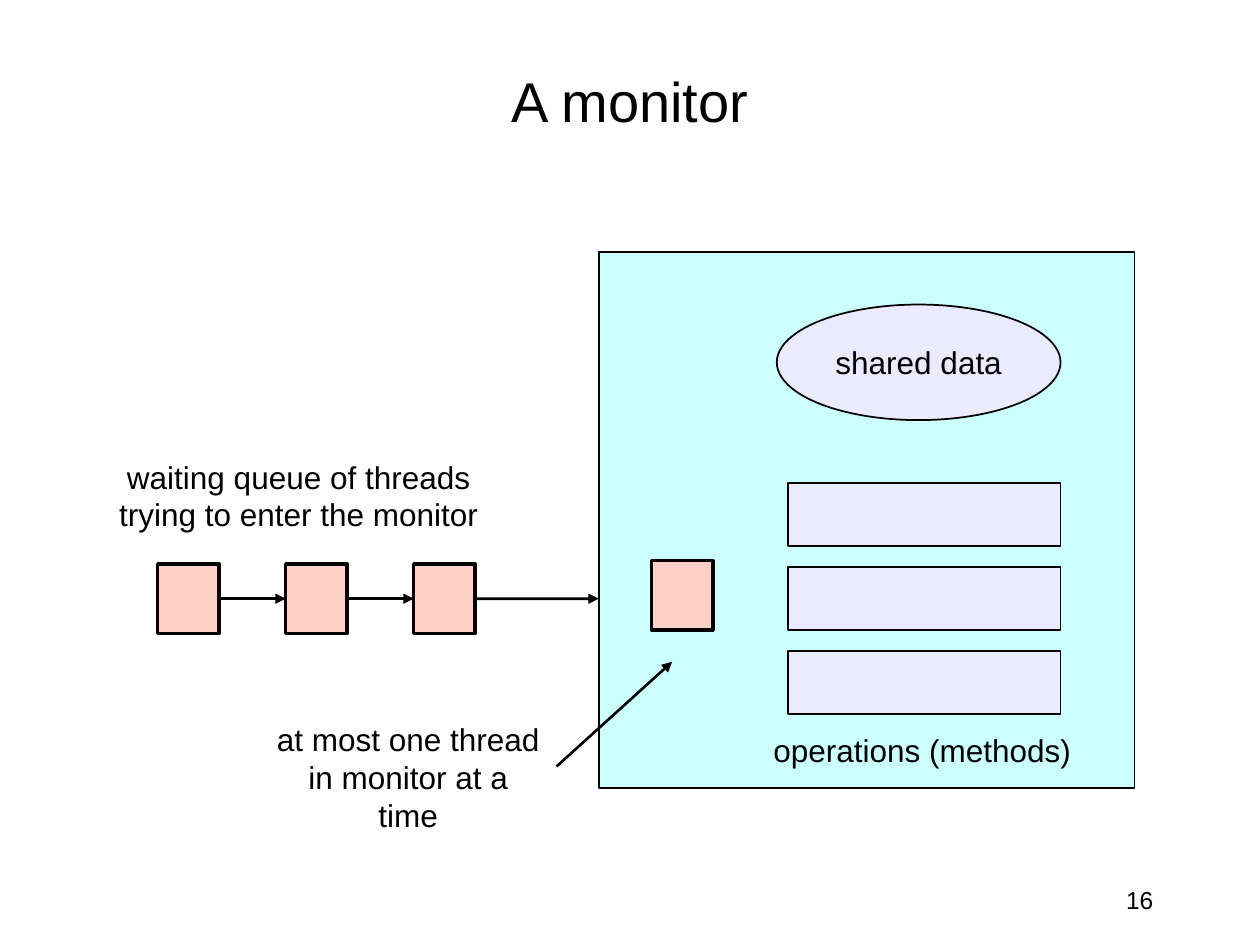
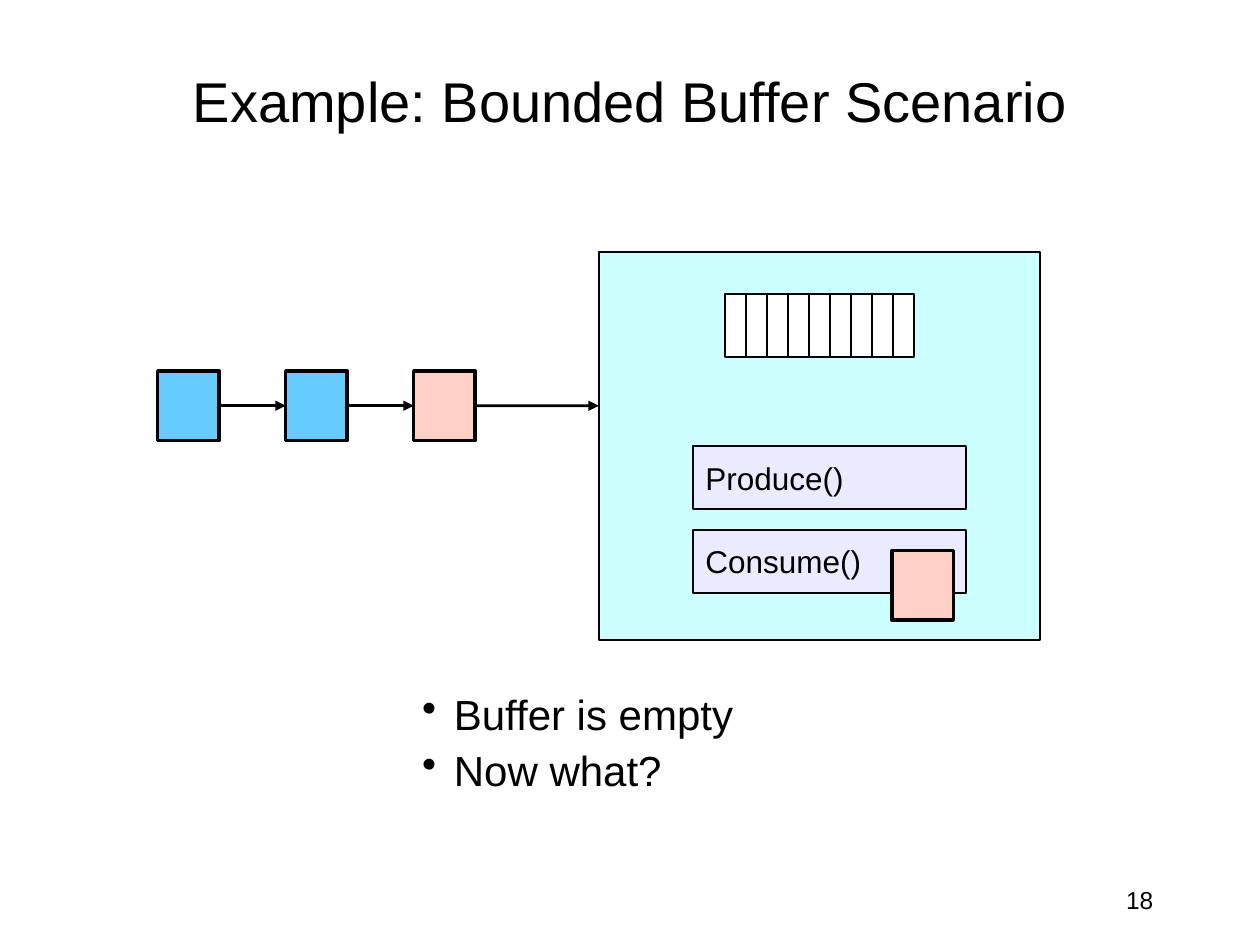
"""Builds two slides that explain monitors and a bounded buffer."""
from lxml.etree import SubElement
from pptx import Presentation
from pptx.dml.color import RGBColor
from pptx.enum.shapes import MSO_CONNECTOR, MSO_SHAPE
from pptx.enum.text import MSO_ANCHOR, PP_ALIGN
from pptx.oxml.ns import qn
from pptx.util import Cm, Pt

BLACK = RGBColor(0x00, 0x00, 0x00)
WHITE = RGBColor(0xFF, 0xFF, 0xFF)
MONITOR_CYAN = RGBColor(0xCC, 0xFF, 0xFF)
OPERATION_LILAC = RGBColor(0xEB, 0xEB, 0xFF)
THREAD_PINK = RGBColor(0xFF, 0xD0, 0xC5)
THREAD_BLUE = RGBColor(0x66, 0xCC, 0xFF)
FONT = "Arial"

MONITOR_LEFT, MONITOR_TOP = 12.07, 5.08
THREAD_WIDTH, THREAD_HEIGHT = 1.24, 1.4
THREAD_LEFT, THREAD_STEP = 3.18, 2.58
OPERATION_WIDTH, OPERATION_HEIGHT, OPERATION_STEP = 5.5, 1.27, 1.69


def add_box(shapes, kind, left, top, width, height, fill=None, line_width=1,
            lines=(), size=18, alignment=PP_ALIGN.CENTER, wrap=True):
    """Add a filled shape, or a text box when kind is None, with its text."""
    frame = Cm(left), Cm(top), Cm(width), Cm(height)
    if kind is None:
        shape = shapes.add_textbox(*frame)
    else:
        shape = shapes.add_shape(kind, *frame)
        shape.shadow.inherit = False
        shape.fill.solid()
        shape.fill.fore_color.rgb = fill
        shape.line.color.rgb = BLACK
        shape.line.width = Pt(line_width)
    shape.text_frame.word_wrap = wrap
    for index, line in enumerate(lines):
        text_frame = shape.text_frame
        paragraph = text_frame.add_paragraph() if index else text_frame.paragraphs[0]
        paragraph.alignment = alignment
        paragraph.space_before = Pt(size / 8)
        run = paragraph.add_run()
        run.text = line
        run.font.name = FONT
        run.font.size = Pt(size)
        run.font.color.rgb = BLACK
    return shape


def add_line(shapes, start_x, start_y, end_x, end_y, width=1.5, arrow=True):
    """Add a straight black line without shadow, with an arrowhead if wanted."""
    connector = shapes.add_connector(
        MSO_CONNECTOR.STRAIGHT, Cm(start_x), Cm(start_y), Cm(end_x), Cm(end_y))
    connector.line.color.rgb = BLACK
    connector.line.width = Pt(width)
    if arrow:
        SubElement(connector.line._get_or_add_ln(), qn("a:tailEnd"), type="triangle")
    SubElement(connector._element.spPr, qn("a:effectLst"))
    return connector


presentation = Presentation()
presentation.slide_width = Cm(25.4)
presentation.slide_height = Cm(19.05)

slides = []
for title, number, monitor_size, queue_y, queue_colors in (
    ("A monitor", "16", (10.8, 10.8), 12.07, [THREAD_PINK] * 3),
    ("Example: Bounded Buffer Scenario", "18", (8.89, 7.83), 8.18,
     [THREAD_BLUE, THREAD_BLUE, THREAD_PINK]),
):
    slide = presentation.slides.add_slide(presentation.slide_layouts[5])
    slides.append(slide)
    placeholder = slide.shapes.title
    placeholder.left, placeholder.top = Cm(1.91), Cm(1.07)
    placeholder.width, placeholder.height = Cm(21.59), Cm(1.91)
    placeholder.text_frame.vertical_anchor = MSO_ANCHOR.MIDDLE
    paragraph = placeholder.text_frame.paragraphs[0]
    paragraph.alignment = PP_ALIGN.CENTER
    run = paragraph.add_run()
    run.text = title
    run.font.name = FONT
    run.font.size = Pt(32)
    run.font.color.rgb = BLACK

    add_box(slide.shapes, None, 18.21, 17.72, 5.29, 0.85,
            lines=[number], size=14, alignment=PP_ALIGN.RIGHT)
    add_box(slide.shapes, MSO_SHAPE.RECTANGLE, MONITOR_LEFT, MONITOR_TOP,
            *monitor_size, MONITOR_CYAN)

    threads = [
        add_box(slide.shapes, MSO_SHAPE.RECTANGLE, THREAD_LEFT + index * THREAD_STEP,
                queue_y - THREAD_HEIGHT / 2, THREAD_WIDTH, THREAD_HEIGHT, color, 2)
        for index, color in enumerate(queue_colors)
    ]
    for index, thread in enumerate(threads):
        arrow = add_line(slide.shapes, MONITOR_LEFT, queue_y, MONITOR_LEFT, queue_y)
        arrow.begin_connect(thread, 3)
        if index + 1 < len(threads):
            arrow.end_connect(threads[index + 1], 1)

monitor_shapes, buffer_shapes = (slide.shapes for slide in slides)

add_box(monitor_shapes, MSO_SHAPE.OVAL, 15.66, 6.14, 5.72, 2.33, OPERATION_LILAC,
        lines=["shared data"], wrap=False)
for row in range(3):
    add_box(monitor_shapes, MSO_SHAPE.RECTANGLE, 15.88, 9.74 + row * OPERATION_STEP,
            OPERATION_WIDTH, OPERATION_HEIGHT, OPERATION_LILAC)
add_box(monitor_shapes, MSO_SHAPE.RECTANGLE, 13.13, 11.3,
        THREAD_WIDTH, THREAD_HEIGHT, THREAD_PINK, 2)
add_box(monitor_shapes, None, 1.57, 9.1, 8.9, 1.78,
        lines=["waiting queue of threads trying to enter the monitor"])
add_box(monitor_shapes, None, 15.34, 14.61, 6.5, 1.02,
        lines=["operations (methods)"], wrap=False)
add_box(monitor_shapes, None, 5.29, 14.4, 5.88, 2.54,
        lines=["at most one thread in monitor at a time"])
add_line(monitor_shapes, 11.22, 15.45, 13.55, 13.34)

for row, operation in enumerate(("Produce()", "Consume()")):
    add_box(buffer_shapes, MSO_SHAPE.RECTANGLE, 13.97, 8.99 + row * OPERATION_STEP,
            OPERATION_WIDTH, OPERATION_HEIGHT, OPERATION_LILAC,
            lines=[operation], alignment=PP_ALIGN.LEFT)
add_box(buffer_shapes, MSO_SHAPE.RECTANGLE, 17.98, 11.1,
        THREAD_WIDTH, THREAD_HEIGHT, THREAD_PINK, 2)

buffer_left, buffer_top, buffer_width, buffer_height = 14.61, 5.93, 3.81, 1.27
slot_count = 9
buffer_group = buffer_shapes.add_group_shape()
add_box(buffer_group.shapes, MSO_SHAPE.RECTANGLE, buffer_left, buffer_top,
        buffer_width, buffer_height, WHITE)
for slot in range(1, slot_count):
    divider_x = buffer_left + slot * buffer_width / slot_count
    add_line(buffer_group.shapes, divider_x, buffer_top,
             divider_x, buffer_top + buffer_height, 1, arrow=False)

questions = add_box(buffer_shapes, None, 8.26, 13.76, 6.78, 2.39, size=24,
                    lines=["Buffer is empty", "Now what?"], alignment=PP_ALIGN.LEFT)
for paragraph in questions.text_frame.paragraphs:
    properties = paragraph._p.get_or_add_pPr()
    properties.set("marL", str(Cm(0.64)))
    properties.set("indent", str(-Cm(0.64)))
    SubElement(properties, qn("a:buChar"), char="•")

presentation.save("out.pptx")
